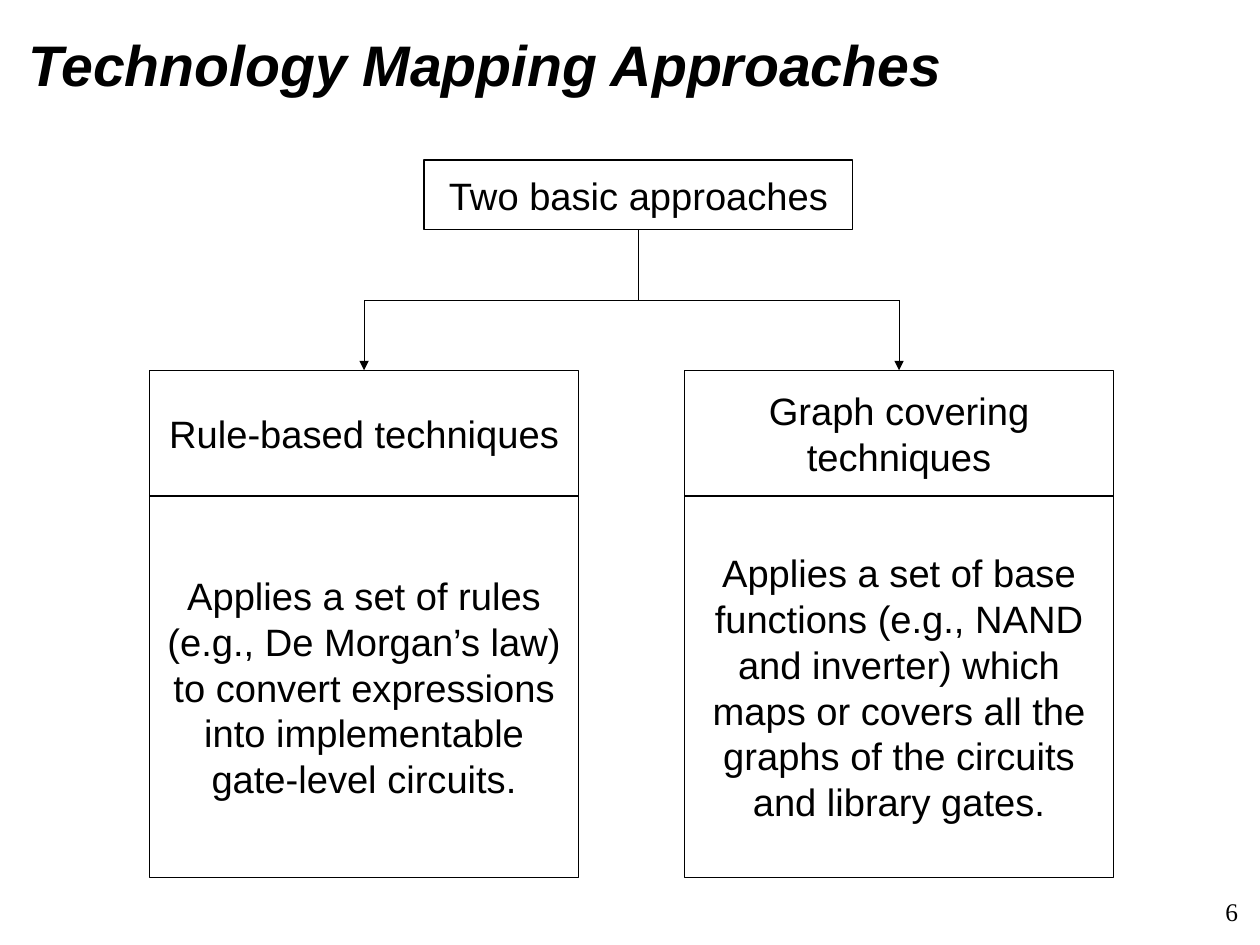
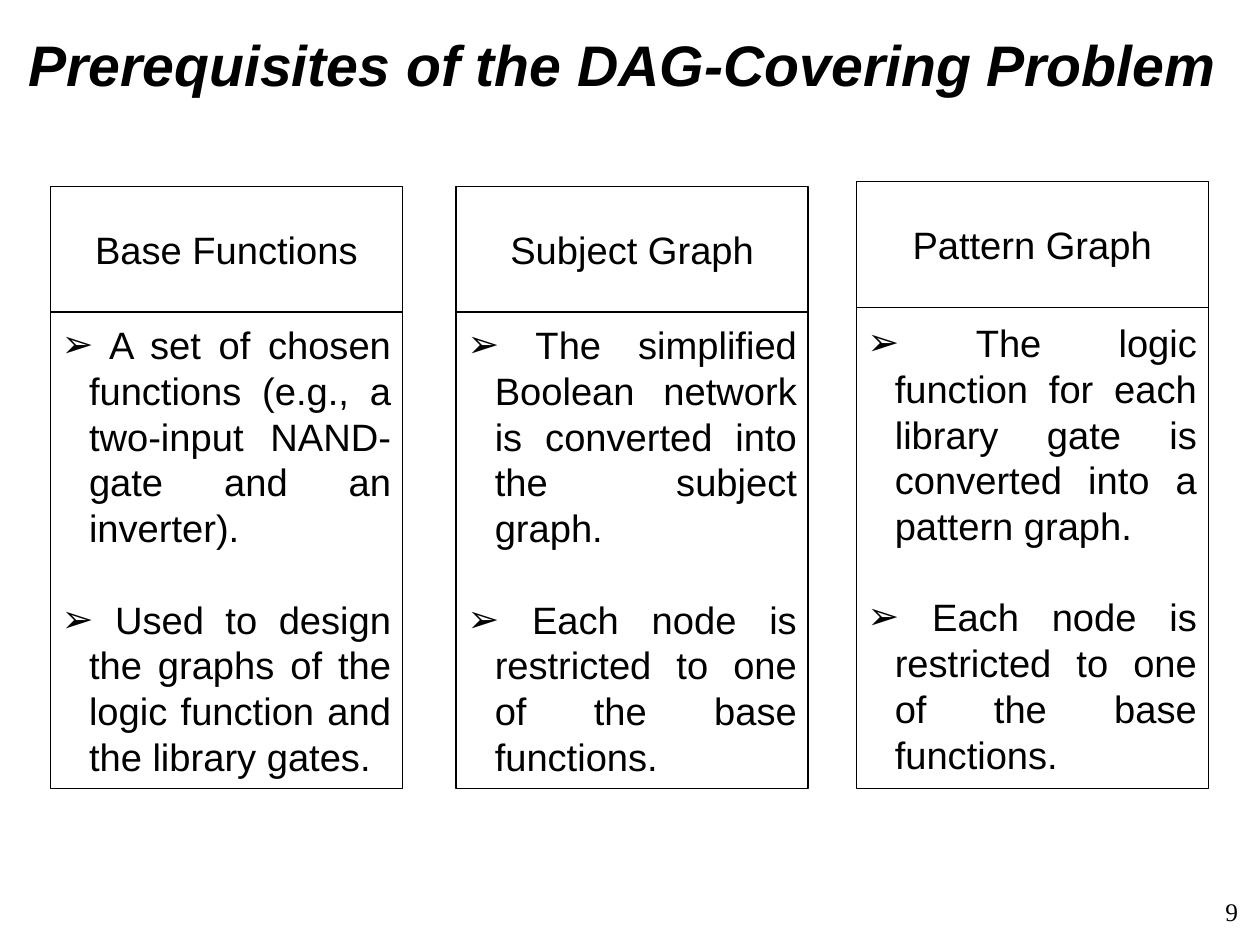
from lxml import etree
from pptx import Presentation
from pptx import util as u
from pptx.dml.color import RGBColor
from pptx.enum import shapes, text
from pptx.oxml.ns import qn

WIDE, HIGH = u.Cm(28), u.Cm(21)
INK, PAPER = "000000", "FFFFFF"
SANS, SERIF = "Arial", "Times New Roman"
SIZE = 24
HEAD = 1.1
MARK, INDENT = "➢", 0.24
ALIGN = text.PP_ALIGN

PAIR_W, PAIR_TOP, PAIR_END = 3.75, 3.24, 7.68
PAIR = [
    (1.31, "Rule-based techniques",
     "Applies a set of rules (e.g., De Morgan’s law) to convert expressions "
     "into implementable gate-level circuits."),
    (5.99, "Graph covering techniques",
     "Applies a set of base functions (e.g., NAND and inverter) which maps or "
     "covers all the graphs of the circuits and library gates."),
]

TRIO_W, TRIO_END = 3.08, 6.9
NODE = " Each node is restricted to one of the base functions."
TRIO = [
    (0.44, 1.63, "Base Functions",
     [" A set of chosen functions (e.g., a two-input NAND-gate and an inverter).",
      " Used to design the graphs of the logic function and the library gates."]),
    (3.99, 1.63, "Subject Graph",
     [" The simplified Boolean network is converted into the subject graph.", NODE]),
    (7.49, 1.59, "Pattern Graph",
     [" The logic function for each library gate is converted into a pattern graph.",
      NODE]),
]


def color(hexa):
    return RGBColor.from_string(hexa)


def place(shape, *area):
    shape.left, shape.top, shape.width, shape.height = map(u.Inches, area)


def write(para, words, size=SIZE, face=SANS, align=ALIGN.CENTER, bold=False):
    """Add one run; bold text is slanted too."""
    para.alignment = align
    run = para.add_run()
    run.text = words
    font = run.font
    font.name, font.size = face, u.Pt(size)
    font.bold = font.italic = bold
    font.color.rgb = color(INK)


def space(para, before, after):
    para.space_before, para.space_after = u.Pt(before), u.Pt(after)


def start(deck, title, number):
    """Add a slide with its title and page number."""
    slide = deck.slides.add_slide(deck.slide_layouts[5])
    head = slide.shapes.title
    place(head, 0.25, 0.07, 10.5, 0.98)
    frame = head.text_frame
    frame.margin_left = frame.margin_right = 0
    frame.margin_top = frame.margin_bottom = 0
    frame.vertical_anchor = text.MSO_ANCHOR.MIDDLE
    frame.auto_size = text.MSO_AUTO_SIZE.NONE
    write(frame.paragraphs[0], title, 36, align=ALIGN.LEFT, bold=True)

    page = slide.shapes.add_textbox(0, 0, 0, 0)
    place(page, 10.5, 7.67, 0.55, 0.6)
    page.text_frame.word_wrap = False
    page.text_frame.vertical_anchor = text.MSO_ANCHOR.MIDDLE
    write(page.text_frame.paragraphs[0], str(number), 16, SERIF)
    return slide


def box(slide, *area):
    shape = slide.shapes.add_shape(shapes.MSO_SHAPE.RECTANGLE, 0, 0, 0, 0)
    place(shape, *area)
    shape.shadow.inherit = False
    shape.fill.solid()
    shape.fill.fore_color.rgb = color(PAPER)
    shape.line.color.rgb = color(INK)
    shape.line.width = 0
    shape.text_frame.word_wrap = True
    shape.text_frame.vertical_anchor = text.MSO_ANCHOR.MIDDLE
    return shape


def label(slide, words, *area):
    shape = box(slide, *area)
    write(shape.text_frame.paragraphs[0], words)
    return shape


def card(slide, head, left, top, width, end):
    """Stack a heading box on a body box; return both."""
    return (label(slide, head, left, top, width, HEAD),
            box(slide, left, top + HEAD, width, end - top - HEAD))


def bullet(para):
    props = para._p.get_or_add_pPr()
    props.set("marL", str(u.Inches(INDENT)))
    props.set("indent", str(-u.Inches(INDENT)))
    tint = etree.SubElement(props, qn("a:buClr"))
    etree.SubElement(tint, qn("a:srgbClr"), val=INK)
    etree.SubElement(props, qn("a:buFont"), typeface=SANS)
    etree.SubElement(props, qn("a:buChar"), char=MARK)


def points(shape, items):
    frame = shape.text_frame
    for i, item in enumerate(items):
        para = frame.add_paragraph() if i else frame.paragraphs[0]
        space(para, 28.8 if i else 0, 0)
        bullet(para)
        write(para, item, align=ALIGN.JUSTIFY)


def branch(slide, source, target):
    """Run an elbow arrow down, across and down."""
    link = slide.shapes.add_connector(shapes.MSO_CONNECTOR.ELBOW, 0, 0, 0, 0)
    link.begin_connect(source, 2)
    link.end_connect(target, 0)
    run, drop = link.end_x - link.begin_x, link.end_y - link.begin_y
    mid_x, mid_y = link.begin_x + run // 2, link.begin_y + drop // 2
    link.width, link.height = drop, abs(run)
    link.left, link.top = mid_x - drop // 2, mid_y - abs(run) // 2
    item = link._element
    props = item.spPr
    turn = props.find(qn("a:xfrm"))
    turn.set("rot", str((270 if run > 0 else 90) * 60000))
    turn.set("flipH", "1" if run > 0 else "0")
    turn.set("flipV", "0")
    item.remove(item.find(qn("p:style")))
    link.line.color.rgb = color(INK)
    link.line.width = 0
    etree.SubElement(props.find(qn("a:ln")), qn("a:tailEnd"), type="triangle")
    etree.SubElement(props, qn("a:effectLst"))


def main():
    deck = Presentation()
    deck.slide_width, deck.slide_height = WIDE, HIGH

    slide = start(deck, "Technology Mapping Approaches", 6)
    root = label(slide, "Two basic approaches", 3.71, 1.4, PAIR_W, 0.61)
    for left, head, words in PAIR:
        top, body = card(slide, head, left, PAIR_TOP, PAIR_W, PAIR_END)
        para = body.text_frame.paragraphs[0]
        space(para, 11.9, 9.9)
        write(para, words)
        branch(slide, root, top)

    slide = start(deck, "Prerequisites of the DAG-Covering Problem", 9)
    for left, top, head, items in TRIO:
        body = card(slide, head, left, top, TRIO_W, TRIO_END)[1]
        points(body, items)

    deck.save("out.pptx")


if __name__ == "__main__":
    main()
